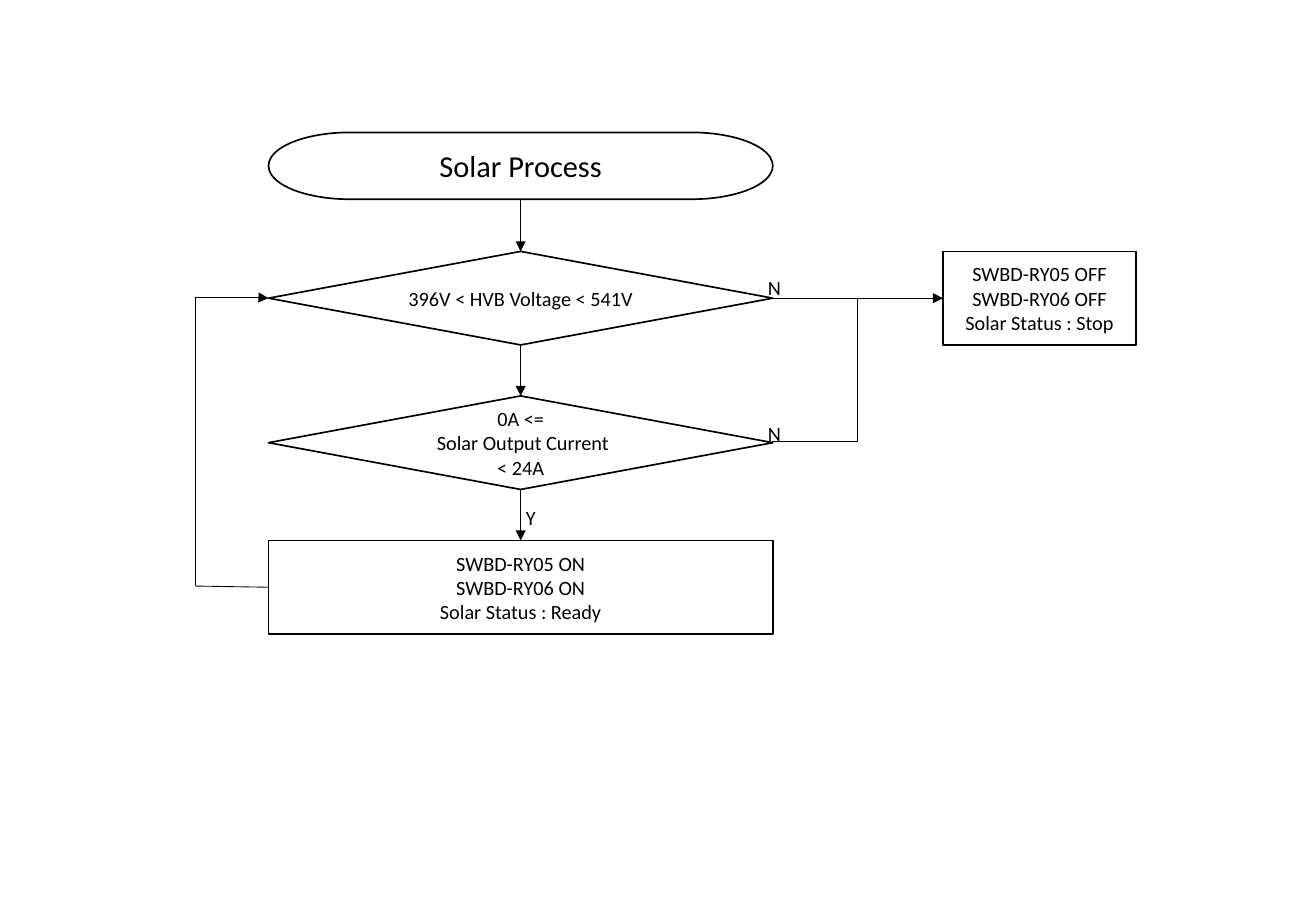
import copy
from dataclasses import dataclass
from typing import Any

import pptx
import pptx.dml.color
import pptx.enum.shapes
import pptx.enum.text
import pptx.oxml.ns
import pptx.oxml.xmlchemy
import pptx.util
from lxml import etree

Inches = pptx.util.Inches
Pt = pptx.util.Pt
ShapeType = pptx.enum.shapes.MSO_SHAPE
ConnectorType = pptx.enum.shapes.MSO_CONNECTOR
Align = pptx.enum.text.PP_ALIGN
qn = pptx.oxml.ns.qn

BLACK, WHITE = "000000", "FFFFFF"

# Layout of the flow column
MAIN_LEFT, MAIN_WIDTH = 2.21, 4.15
MAIN_RIGHT = MAIN_LEFT + MAIN_WIDTH
MAIN_CENTER = MAIN_LEFT + MAIN_WIDTH / 2
STEP_TOP, STEP_HEIGHT, STEP_PITCH = 2.07, 0.77, 1.19
VOLTAGE_TOP, CURRENT_TOP, READY_TOP = (STEP_TOP + STEP_PITCH * row for row in range(3))
VOLTAGE_MIDDLE, CURRENT_MIDDLE, READY_MIDDLE = (
    top + STEP_HEIGHT / 2 for top in (VOLTAGE_TOP, CURRENT_TOP, READY_TOP)
)
START_TOP, START_HEIGHT = 1.09, 0.55
STOP_LEFT, STOP_WIDTH = 7.76, 1.59
LOOP_X, MERGE_X = 1.61, 7.06

BOX_FORMAT = {"word_wrap": True, "vertical_anchor": pptx.enum.text.MSO_ANCHOR.MIDDLE}
LABEL_FORMAT = {"word_wrap": False, "auto_size": pptx.enum.text.MSO_AUTO_SIZE.SHAPE_TO_FIT_TEXT}


@dataclass
class Box:
    kind: Any
    text: str
    left: float
    top: float
    width: float
    height: float = STEP_HEIGHT
    size: int = 12


@dataclass
class Label:
    text: str
    left: float
    top: float
    width: float


@dataclass
class Link:
    start: tuple[float, float]
    end: tuple[float, float]
    arrow: bool = True
    bend: int | None = None  # position of the bend in 1/100000 of the height


BOXES = [
    Box(ShapeType.FLOWCHART_TERMINATOR, "Solar Process",
        MAIN_LEFT, START_TOP, MAIN_WIDTH, START_HEIGHT, 18),
    Box(ShapeType.FLOWCHART_DECISION, "396V < HVB Voltage < 541V",
        MAIN_LEFT, VOLTAGE_TOP, MAIN_WIDTH),
    Box(ShapeType.FLOWCHART_DECISION, "0A <=\n Solar Output Current\n< 24A",
        MAIN_LEFT, CURRENT_TOP, MAIN_WIDTH),
    Box(ShapeType.FLOWCHART_PROCESS, "SWBD-RY05 ON\nSWBD-RY06 ON\nSolar Status : Ready",
        MAIN_LEFT, READY_TOP, MAIN_WIDTH),
    Box(ShapeType.FLOWCHART_PROCESS, "SWBD-RY05 OFF\nSWBD-RY06 OFF\nSolar Status : Stop",
        STOP_LEFT, VOLTAGE_TOP, STOP_WIDTH),
]
LABELS = [
    Label("N", 6.22, 2.22, 0.31),
    Label("N", 6.22, 3.42, 0.31),
    Label("Y", 4.23, 4.11, 0.28),
]
LINKS = [
    Link((MAIN_CENTER, START_TOP + START_HEIGHT), (MAIN_CENTER, VOLTAGE_TOP)),
    Link((MAIN_CENTER, VOLTAGE_TOP + STEP_HEIGHT), (MAIN_CENTER, CURRENT_TOP)),
    Link((MAIN_CENTER, CURRENT_TOP + STEP_HEIGHT), (MAIN_CENTER, READY_TOP)),
    Link((MAIN_RIGHT, VOLTAGE_MIDDLE), (STOP_LEFT, VOLTAGE_MIDDLE)),
    Link((MAIN_RIGHT, CURRENT_MIDDLE), (MERGE_X, VOLTAGE_MIDDLE), arrow=False, bend=600),
    Link((MAIN_LEFT, READY_MIDDLE), (LOOP_X, READY_MIDDLE - 0.01), arrow=False),
    Link((LOOP_X, READY_MIDDLE - 0.01), (MAIN_LEFT, VOLTAGE_MIDDLE), bend=100200),
]


def color(hex_value: str) -> pptx.dml.color.RGBColor:
    return pptx.dml.color.RGBColor.from_string(hex_value)


def write_text(shape: Any, text: str, size: int, align: Any, frame_format: dict[str, Any]) -> None:
    for name, value in frame_format.items():
        setattr(shape.text_frame, name, value)
    paragraph = shape.text_frame.paragraphs[0]
    paragraph.text = text.replace("\n", "\v")
    paragraph.alignment = align
    for run in paragraph.runs:
        for name, value in {"name": "Calibri", "size": Pt(size)}.items():
            setattr(run.font, name, value)
        run.font.color.rgb = color(BLACK)
    # Line breaks take the same size as the text
    for line_break in paragraph.runs[0]._r.getparent().findall(qn("a:br")):
        line_break.append(copy.deepcopy(paragraph.runs[0]._r.rPr))


def draw_box(slide: Any, box: Box) -> None:
    shape = slide.shapes.add_shape(
        box.kind, Inches(box.left), Inches(box.top), Inches(box.width), Inches(box.height))
    shape.shadow.inherit = False
    shape.fill.solid()
    shape.fill.fore_color.rgb = color(WHITE)
    shape.line.color.rgb = color(BLACK)
    shape.line.width = Pt(1)
    write_text(shape, box.text, box.size, Align.CENTER, BOX_FORMAT)


def draw_label(slide: Any, label: Label) -> None:
    shape = slide.shapes.add_textbox(
        Inches(label.left), Inches(label.top), Inches(label.width), Inches(0.3))
    write_text(shape, label.text, 12, Align.LEFT, LABEL_FORMAT)


def draw_link(slide: Any, link: Link) -> None:
    (x1, y1), (x2, y2) = link.start, link.end
    kind = ConnectorType.STRAIGHT
    if link.bend is not None:
        # An elbow that leaves vertically is laid out sideways, then turned by 90 degrees
        kind = ConnectorType.ELBOW
        center_x, center_y = (x1 + x2) / 2, (y1 + y2) / 2
        half_width, half_height = (x2 - x1) / 2, (y1 - y2) / 2
        x1, x2 = center_x + half_height, center_x - half_height
        y1, y2 = center_y + half_width, center_y - half_width
    connector = slide.shapes.add_connector(kind, Inches(x1), Inches(y1), Inches(x2), Inches(y2))
    connector.line.color.rgb = color(BLACK)
    connector.line.width = Pt(0.5)
    properties = connector._element.spPr
    if link.bend is not None:
        properties.find(qn("a:xfrm")).set("rot", str(90 * 60000))
        adjustments = properties.find(qn("a:prstGeom")).find(qn("a:avLst"))
        etree.SubElement(adjustments, qn("a:gd"), name="adj1", fmla=f"val {link.bend}")
    if link.arrow:
        etree.SubElement(properties.find(qn("a:ln")), qn("a:tailEnd"), type="triangle")
    etree.SubElement(properties, qn("a:effectLst"))


def main() -> None:
    presentation = pptx.Presentation()
    presentation.slide_width = Inches(10.83)
    presentation.slide_height = Inches(7.5)
    slide = presentation.slides.add_slide(presentation.slide_layouts[6])
    for label in LABELS:
        draw_label(slide, label)
    for box in BOXES:
        draw_box(slide, box)
    for link in LINKS:
        draw_link(slide, link)
    presentation.save("out.pptx")


if __name__ == "__main__":
    main()
